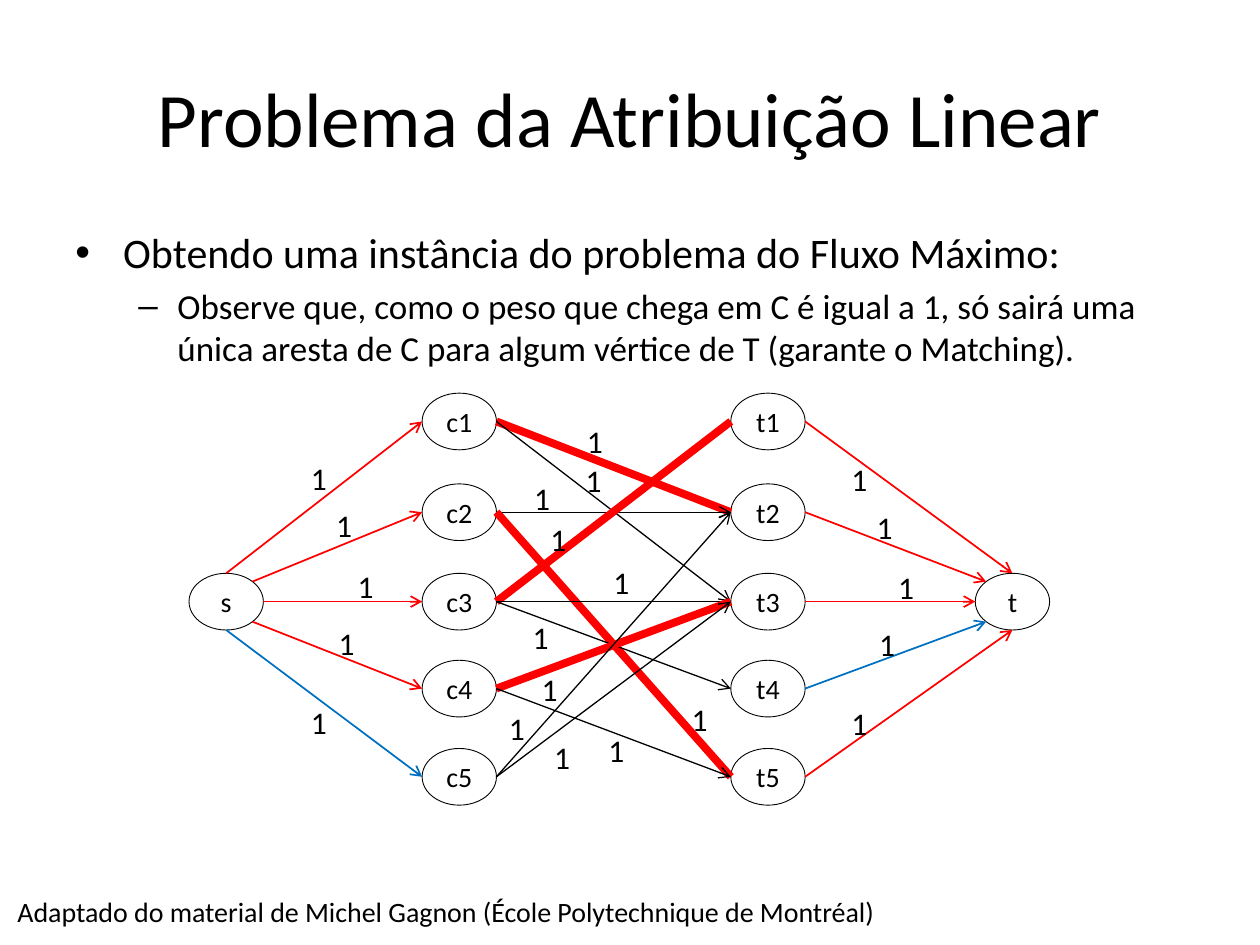
"""Build the slide that turns linear assignment into a maximum flow network."""
from math import sqrt

from lxml.etree import SubElement
from pptx import Presentation
from pptx.dml.color import RGBColor
from pptx.enum.shapes import MSO_CONNECTOR, MSO_SHAPE
from pptx.enum.text import MSO_ANCHOR, PP_ALIGN
from pptx.oxml.ns import qn
from pptx.util import Inches, Pt

COLORS = {"black": "000000", "white": "FFFFFF", "red": "FF0000", "blue": "0070C0"}
FONT = "Calibri"
SLIDE_WIDTH, SLIDE_HEIGHT = Inches(10), Inches(7.5)
GRID_COLUMNS, GRID_ROWS = 100, 75

TITLE = "Problema da Atribuição Linear"
BULLETS = [
    ("Obtendo uma instância do problema do Fluxo Máximo:",
     {"size": 24, "bullet": "•", "indent": (0.38, -0.38)}),
    ("Observe que, como o peso que chega em C é igual a 1, só sairá uma única aresta "
     "de C para algum vértice de T (garante o Matching).",
     {"size": 20, "bullet": "–", "indent": (0.81, -0.31), "level": 1, "before": 4}),
]
CREDIT = "Adaptado do material de Michel Gagnon (École Polytechnique de Montréal)"

NODE_SIZE = (5.9, 4.5)
NODE_COLUMNS = {"s": 15, "c": 33.5, "t": 58, "sink": 77.4}
NODE_ROWS = [31.2, 38.4, 45.5, 52.4, 59.4]
MIDDLE_ROW = NODE_ROWS[2]

MATCHED = {("c1", "t2"), ("c2", "t5"), ("c3", "t1"), ("c4", "t3")}
HEADLESS = MATCHED | {("c3", "t3")}
MIDDLE_EDGES = [
    ("c1", "t2"), ("c1", "t3"), ("c2", "t2"), ("c2", "t5"), ("c3", "t1"), ("c3", "t3"),
    ("c3", "t4"), ("c4", "t3"), ("c4", "t5"), ("c5", "t2"), ("c5", "t3"),
]
UNUSED = {"c5", "t4"}

CAPACITY = "1"
SIDE_LABELS = [(23.7, 35.9), (25.7, 39.7), (27.4, 44.5), (25.9, 49), (23.7, 55.3)]
SIDE_LABEL_SHIFT = (42.9, 0.1)
MIDDLE_LABELS = [
    (45.6, 33), (45.5, 36.1), (41.4, 37.5), (53.9, 55.1), (42.7, 40.8), (47.7, 44.2),
    (41.3, 48.6), (42, 52.7), (47.3, 57.5), (43, 58.1), (39.4, 55.8),
]
LABEL_SIZE = (3.3, 4)

HALF_DIAGONAL = sqrt(0.5) / 2
SITES = {
    "top": (0.5, 0), "bottom": (0.5, 1), "left": (0, 0.5), "right": (1, 0.5),
    "upper right": (0.5 + HALF_DIAGONAL, 0.5 - HALF_DIAGONAL),
    "lower right": (0.5 + HALF_DIAGONAL, 0.5 + HALF_DIAGONAL),
    "upper left": (0.5 - HALF_DIAGONAL, 0.5 - HALF_DIAGONAL),
    "lower left": (0.5 - HALF_DIAGONAL, 0.5 + HALF_DIAGONAL),
}
SOURCE_SITES = ["top", "upper right", "right", "lower right", "bottom"]
SINK_SITES = ["top", "upper left", "left", "lower left", "bottom"]


def color(name):
    return RGBColor.from_string(COLORS[name])


def place(column, row):
    return round(SLIDE_WIDTH * column / GRID_COLUMNS), round(SLIDE_HEIGHT * row / GRID_ROWS)


def write(paragraph, text, size=18, align=PP_ALIGN.LEFT, bullet=None, indent=None,
          level=0, before=0):
    paragraph.alignment = align
    paragraph.level = level
    paragraph.space_before = Pt(before)
    if bullet:
        properties = paragraph._p.get_or_add_pPr()
        properties.set("marL", str(Inches(indent[0])))
        properties.set("indent", str(Inches(indent[1])))
        SubElement(properties, qn("a:buFont")).set("typeface", "Arial")
        SubElement(properties, qn("a:buChar")).set("char", bullet)
    run = paragraph.add_run()
    run.text = text
    run.font.name = FONT
    run.font.size = Pt(size)
    run.font.color.rgb = color("black")


def add_text(slide, position, size, items, anchor=MSO_ANCHOR.TOP):
    frame = slide.shapes.add_textbox(*place(*position), *place(*size)).text_frame
    frame.word_wrap = True
    frame.vertical_anchor = anchor
    for index, (text, options) in enumerate(items):
        paragraph = frame.add_paragraph() if index else frame.paragraphs[0]
        write(paragraph, text, **options)


def add_node(slide, name, column, row):
    shape = slide.shapes.add_shape(MSO_SHAPE.OVAL, *place(column, row), *place(*NODE_SIZE))
    shape.shadow.inherit = False
    shape.fill.solid()
    shape.fill.fore_color.rgb = color("white")
    shape.line.color.rgb = color("black")
    shape.line.width = Pt(0.5)
    shape.text_frame.vertical_anchor = MSO_ANCHOR.MIDDLE
    write(shape.text_frame.paragraphs[0], name, size=16, align=PP_ALIGN.CENTER)
    return shape


def site_point(shape, site):
    across, down = SITES[site]
    return round(shape.left + shape.width * across), round(shape.top + shape.height * down)


def add_edge(slide, start, end, start_site="right", end_site="left",
             line_color="black", width=0.75, head=True):
    connector = slide.shapes.add_connector(
        MSO_CONNECTOR.STRAIGHT, *site_point(start, start_site), *site_point(end, end_site))
    connector.line.color.rgb = color(line_color)
    connector.line.width = Pt(width)
    if head:
        SubElement(connector.line._get_or_add_ln(), qn("a:tailEnd")).set("type", "arrow")
    SubElement(connector._element.spPr, qn("a:effectLst"))


def add_network(slide):
    nodes = {}
    for side in "ct":
        for number, row in enumerate(NODE_ROWS, 1):
            name = f"{side}{number}"
            nodes[name] = add_node(slide, name, NODE_COLUMNS[side], row)
    for edge in MIDDLE_EDGES:
        style = {"line_color": "red", "width": 4.5} if edge in MATCHED else {}
        add_edge(slide, *(nodes[name] for name in edge), head=edge not in HEADLESS, **style)

    source = add_node(slide, "s", NODE_COLUMNS["s"], MIDDLE_ROW)
    sink = add_node(slide, "t", NODE_COLUMNS["sink"], MIDDLE_ROW)
    for number, (source_site, sink_site) in enumerate(zip(SOURCE_SITES, SINK_SITES), 1):
        left, right = f"c{number}", f"t{number}"
        add_edge(slide, source, nodes[left], start_site=source_site, width=1,
                 line_color="blue" if left in UNUSED else "red")
        add_edge(slide, nodes[right], sink, end_site=sink_site, width=1,
                 line_color="blue" if right in UNUSED else "red")

    shift_column, shift_row = SIDE_LABEL_SHIFT
    sink_labels = [(column + shift_column, row + shift_row) for column, row in SIDE_LABELS]
    for position in SIDE_LABELS + sink_labels + MIDDLE_LABELS:
        add_text(slide, position, LABEL_SIZE, [(CAPACITY, {})])


def main():
    presentation = Presentation()
    presentation.slide_width, presentation.slide_height = SLIDE_WIDTH, SLIDE_HEIGHT
    slide = presentation.slides.add_slide(presentation.slide_layouts[6])
    add_text(slide, (5, 3), (90, 12.5), [(TITLE, {"size": 44, "align": PP_ALIGN.CENTER})],
             anchor=MSO_ANCHOR.MIDDLE)
    add_text(slide, (5, 17.5), (90, 11.3), BULLETS)
    add_network(slide)
    add_text(slide, (0.4, 70.5), (71.4, 3.7), [(CREDIT, {"size": 16})])
    presentation.save("out.pptx")


if __name__ == "__main__":
    main()
